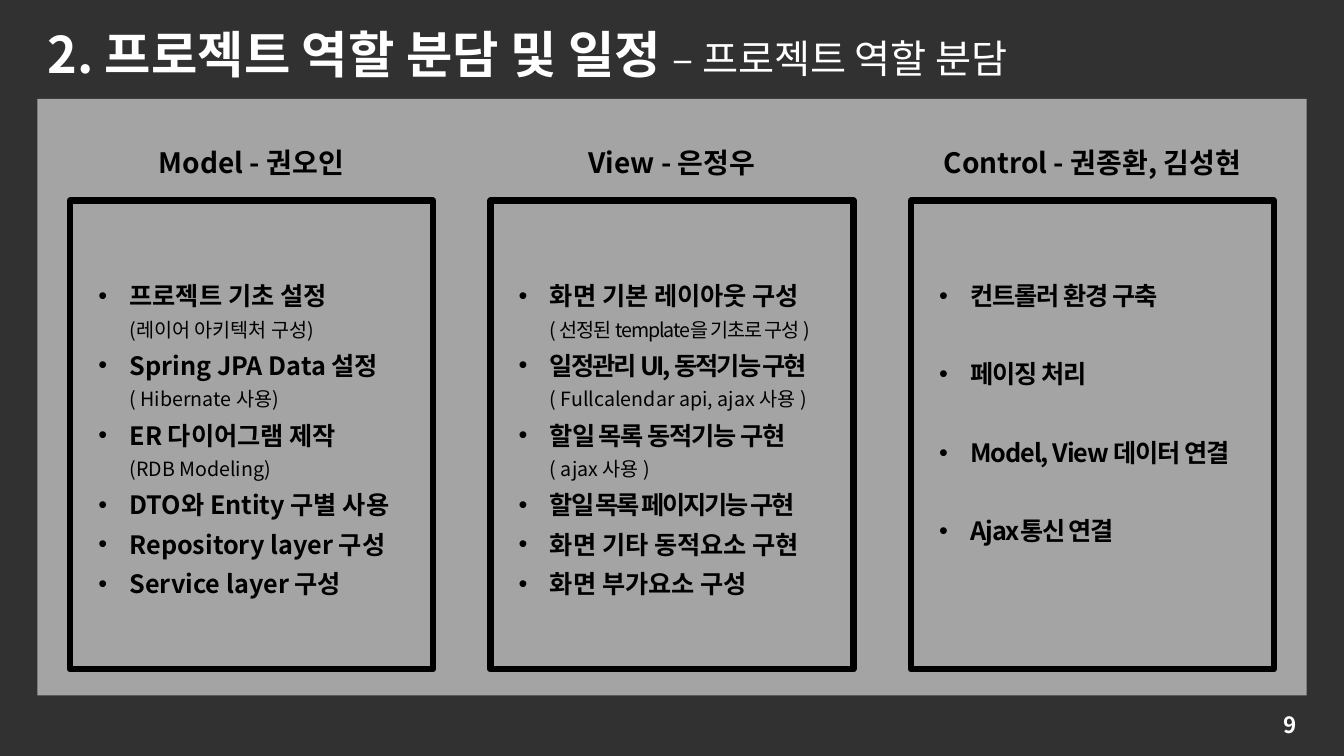
import pptx
import pptx.dml.color
import pptx.enum.shapes
import pptx.enum.text
import pptx.oxml.ns
import pptx.util
from lxml import etree

FONT = "Noto Sans CJK KR"
WIDTH, HEIGHT = 13.33, 7.5

# Grid: three equal cards centred on the slide
MARGIN = 0.37
CARD_WIDTH, CARD_GAP = 3.6, 0.57
GRID_LEFT = (WIDTH - 3 * CARD_WIDTH - 2 * CARD_GAP) / 2
LIST_INSET = 0.18
HEADING_TOP, CARD_TOP, LIST_TOP = 1.39, 1.99, 2.64

# Each column: heading, heading width, list height, gap between items, items.
# Each item: text, its letter spacing, note below, letter spacing of the note.
COLUMNS = [
    ("Model - 권오인", 3.24, 3.35, 0, [
        ("프로젝트 기초 설정", 0, "(레이어 아키텍처 구성)", 0),
        ("Spring JPA Data 설정", 0, "( Hibernate 사용)", 0),
        ("ER 다이어그램 제작", 0, "(RDB Modeling)", 0),
        ("DTO와 Entity 구별 사용", 0, "", 0),
        ("Repository layer 구성", 0, "", 0),
        ("Service layer 구성", 0, "", 0),
    ]),
    ("View - 은정우", 2.87, 3.69, 0, [
        ("화면 기본 레이아웃 구성", 0, "( 선정된 template을 기초로 구성 )", -0.8),
        ("일정관리 UI, 동적기능 구현", -1.5, "( Fullcalendar api, ajax 사용 )", 0),
        ("할일 목록 동적기능 구현", -0.8, "( ajax 사용 )", 0),
        ("할일 목록 페이지기능 구현", -1.5, "", 0),
        ("화면 기타 동적요소 구현", 0, "", 0),
        ("화면 부가요소 구성", 0, "", 0),
    ]),
    ("Control - 권종환, 김성현", 3.68, 2.86, 28, [
        ("컨트롤러 환경 구축", -0.8, "", 0),
        ("페이징 처리", -0.8, "", 0),
        ("Model, View 데이터 연결", -0.8, "", 0),
        ("Ajax통신 연결", -0.8, "", 0),
    ]),
]


def tag(name):
    return pptx.oxml.ns.qn(name)


def paint(color_format, color):
    color_format.rgb = pptx.dml.color.RGBColor.from_string(color)


def place(shape, left, top, width, height):
    shape.left, shape.top, shape.width, shape.height = (
        pptx.util.Inches(length) for length in (left, top, width, height))


def add_span(para, text, size=18, color="000000", bold=True, spacing=0):
    span = para.add_run()
    span.text = text
    span.font.name = FONT
    span.font.size = pptx.util.Pt(size)
    span.font.bold = bold
    paint(span.font.color, color)
    properties = span.font._element
    properties.set("spc", str(round(spacing * 100)))
    latin = properties.find(tag("a:latin"))
    latin.addnext(etree.Element(tag("a:ea"), typeface=FONT))


def add_break(para, size):
    para.add_line_break()
    etree.SubElement(para._p[-1], tag("a:rPr"), sz=str(size * 100))


def set_bullet(para, indent=0.31):
    properties = para._p.get_or_add_pPr()
    offset = pptx.util.Inches(indent)
    properties.set("marL", str(offset))
    properties.set("indent", str(-offset))
    etree.SubElement(properties, tag("a:buFont"), typeface="Arial")
    etree.SubElement(properties, tag("a:buChar"), char="•")


def prepare_frame(shape, anchor="TOP"):
    frame = shape.text_frame
    frame.word_wrap = True
    frame.auto_size = pptx.enum.text.MSO_AUTO_SIZE.NONE
    frame.vertical_anchor = getattr(pptx.enum.text.MSO_ANCHOR, anchor)
    return frame


def add_rectangle(page, left, top, width, height, fill=None, alpha=100, line=None):
    shape = page.shapes.add_shape(pptx.enum.shapes.MSO_SHAPE.RECTANGLE, 0, 0, 0, 0)
    place(shape, left, top, width, height)
    shape.shadow.inherit = False
    if fill:
        shape.fill.solid()
        paint(shape.fill.fore_color, fill)
        color = shape.element.spPr.find(tag("a:solidFill"))[0]
        etree.SubElement(color, tag("a:alpha"), val=str(alpha * 1000))
    else:
        shape.fill.background()
    if line:
        paint(shape.line.color, line)
        shape.line.width = pptx.util.Pt(4.5)
    else:
        shape.line.fill.background()
    return shape


def add_label(page, text, left, top, width, height, align="CENTER", anchor="TOP", **style):
    box = page.shapes.add_textbox(0, 0, 0, 0)
    place(box, left, top, width, height)
    para = prepare_frame(box, anchor).paragraphs[0]
    para.alignment = getattr(pptx.enum.text.PP_ALIGN, align)
    add_span(para, text, **style)


def fill_list(body, items, gap):
    frame = prepare_frame(body)
    for index, (text, spacing, note, note_spacing) in enumerate(items):
        para = frame.add_paragraph() if index else frame.paragraphs[0]
        set_bullet(para)
        para.line_spacing = 1.3
        para.space_before = pptx.util.Pt(gap if index else 0)
        add_span(para, text, spacing=spacing)
        if note:
            add_break(para, 18)
            add_span(para, note, size=14, bold=False, spacing=note_spacing)


def fill_title(title):
    place(title, MARGIN, 0.18, 11.51, 0.71)
    para = prepare_frame(title).paragraphs[0]
    para.alignment = pptx.enum.text.PP_ALIGN.LEFT
    add_span(para, "2. 프로젝트 역할 분담 및 일정 ", size=36, color="FFFFFF")
    add_span(para, "– 프로젝트 역할 분담", size=28, color="FFFFFF", bold=False)


def main():
    deck = pptx.Presentation()
    deck.slide_width = pptx.util.Inches(WIDTH)
    deck.slide_height = pptx.util.Inches(HEIGHT)
    page = deck.slides.add_slide(deck.slide_layouts.get_by_name("Comparison"))
    title, *bodies = page.placeholders
    spare = bodies.pop()
    spare.element.getparent().remove(spare.element)

    # Backdrop and panel, behind the placeholders
    backdrop = add_rectangle(page, 0, 0, WIDTH, HEIGHT, fill="0D0D0D", alpha=85)
    panel = add_rectangle(page, MARGIN, 0.98, WIDTH - 2 * MARGIN, 5.92,
                          fill="F2F2F2", alpha=60)
    for shape in (backdrop, panel):
        title.element.addprevious(shape.element)

    # Title and page number
    fill_title(title)
    add_label(page, "9", WIDTH - MARGIN - 3, 6.99, 3, 0.4,
              align="RIGHT", anchor="MIDDLE", size=16, color="FFFFFF")

    # One card for each role
    for index, (body, column) in enumerate(zip(bodies, COLUMNS)):
        heading, heading_width, list_height, gap, items = column
        left = GRID_LEFT + index * (CARD_WIDTH + CARD_GAP)
        add_rectangle(page, left, CARD_TOP, CARD_WIDTH, 4.65, line="000000")
        add_label(page, heading, left + (CARD_WIDTH - heading_width) / 2,
                  HEADING_TOP, heading_width, 0.44, size=20)
        place(body, left + LIST_INSET, LIST_TOP, CARD_WIDTH - 2 * LIST_INSET, list_height)
        fill_list(body, items, gap)

    deck.save("out.pptx")


if __name__ == "__main__":
    main()
